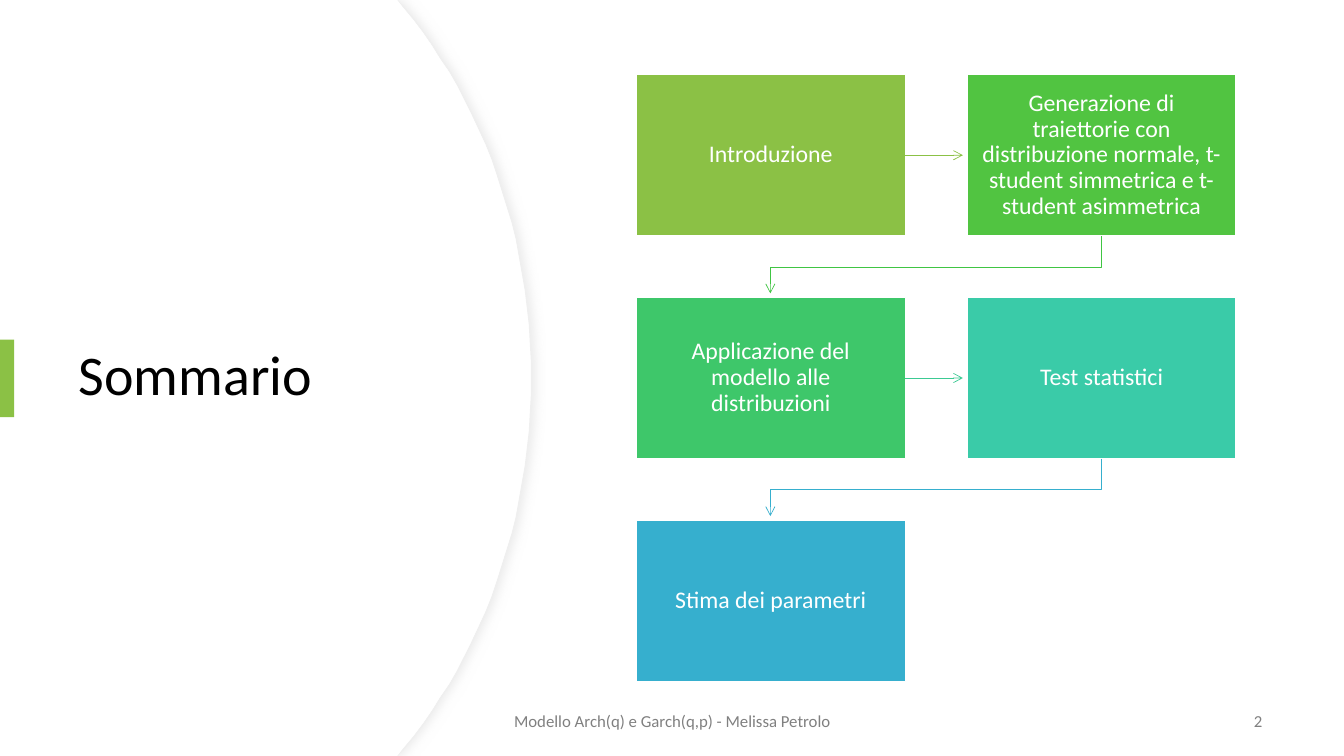
from pptx import Presentation
from pptx.dml.color import RGBColor as RGB
from pptx.enum.shapes import MSO_CONNECTOR as LINK, MSO_SHAPE as SHAPE
from pptx.enum.text import MSO_ANCHOR as ANCHOR, MSO_AUTO_SIZE as FIT, PP_ALIGN as ALIGN
from pptx.oxml import parse_xml as to_xml
from pptx.oxml.ns import nsdecls, qn
from pptx.util import Pt

PX = 9144
WIDE, HIGH = 1333, 750
FONT = "Calibri"
WHITE = RGB(0xFF, 0xFF, 0xFF)
BLACK = RGB(0, 0, 0)
GRAY = RGB(0x80, 0x80, 0x80)
EDGE = RGB(0xEF, 0xEF, 0xEF)
LIME = RGB(0x8B, 0xC1, 0x45)
GREEN = RGB(0x51, 0xC4, 0x41)
LEAF = RGB(0x40, 0xC5, 0x43)
JADE = RGB(0x3E, 0xC7, 0x6A)
MINT = RGB(0x3B, 0xCA, 0x93)
TEAL = RGB(0x3A, 0xCB, 0xA8)
BLUE = RGB(0x36, 0xAF, 0xCE)

LEFT, TOP = 631, 74
BOX_W, BOX_H = 267, 160
STEP_X, STEP_Y = 328, 221
GAP = 4
STEPS = [
    ("Introduzione", LIME, LIME),
    ("Generazione di traiettorie con distribuzione normale, "
     "t-student simmetrica e t-student asimmetrica", GREEN, LEAF),
    ("Applicazione del modello alle distribuzioni", JADE, MINT),
    ("Test statistici", TEAL, BLUE),
    ("Stima dei parametri", BLUE, None),
]


def emu(*sizes):
    """Turn px lengths into EMU."""
    return [size * PX for size in sizes]


def assign(item, values):
    """Set each named attribute of an item."""
    for name, value in values.items():
        setattr(item, name, value)


def write(shape, text, size, color, align, after=0, lead=1.0):
    """Put one formatted paragraph in a shape."""
    frame = shape.text_frame
    frame.text = text
    assign(frame, {"word_wrap": True, "auto_size": FIT.NONE,
                   "vertical_anchor": ANCHOR.MIDDLE})
    para = frame.paragraphs[0]
    assign(para, {"alignment": align, "line_spacing": lead, "space_after": Pt(after)})
    font = para.runs[0].font
    assign(font, {"name": FONT, "size": Pt(size)})
    font.color.rgb = color


def paint(shape, fill, line=None, width=1):
    """Give a shape a flat fill and an optional line."""
    shape.shadow.inherit = False
    shape.fill.solid()
    shape.fill.fore_color.rgb = fill
    if line is None:
        shape.line.fill.background()
    else:
        stroke(shape, line, width)


def stroke(shape, color, width):
    """Set the line colour and width."""
    shape.line.color.rgb = color
    shape.line.width = Pt(width)


def point(shape, color):
    """Draw a thin line with an open arrowhead at its end."""
    stroke(shape, color, 0.5)
    shape.line._get_or_add_ln().append(to_xml(f'<a:tailEnd {nsdecls("a")} type="arrow"/>'))


def outline(slide, dots, close):
    """Build a freeform through px points."""
    path = slide.shapes.build_freeform(*dots[0], scale=PX)
    path.add_line_segments(dots[1:], close=close)
    return path.convert_to_shape()


def curve(ends, count=24):
    """Return px points along a cubic curve."""
    dots = []
    for i in range(count + 1):
        t = i / count
        parts = ((1 - t) ** 3, 3 * t * (1 - t) ** 2, 3 * t * t * (1 - t), t ** 3)
        dots.append(tuple(sum(k * end[axis] for k, end in zip(parts, ends))
                          for axis in (0, 1)))
    return dots


def panel(slide, right):
    """Draw the white panel with a bulging right side."""
    mid = HIGH / 2
    upper = curve([(right - 126, 8), (right - 48, 102), (right, 232), (right, mid)])
    lower = [(x, HIGH - y) for x, y in reversed(upper[:-1])]
    dots = [(0, 0), (394, 0), *upper, *lower, (394, HIGH), (0, HIGH)]
    return outline(slide, dots, True)


def shade(shape):
    """Cast a soft gray shadow to the right."""
    cast = to_xml(
        f'<a:outerShdw {nsdecls("a")} blurRad="{Pt(7)}" dist="{Pt(3)}" dir="0" '
        'algn="l" rotWithShape="0"><a:srgbClr val="D9D9D9">'
        '<a:alpha val="50000"/></a:srgbClr></a:outerShdw>')
    shape._element.spPr.find(qn("a:effectLst")).append(cast)


def block(slide, spot, text, fill):
    """Draw one step of the flow."""
    box = slide.shapes.add_shape(SHAPE.RECTANGLE, *emu(*spot, BOX_W, BOX_H))
    paint(box, fill, WHITE)
    write(box, text, 17, WHITE, ALIGN.CENTER, 6, 0.9)
    side, edge = emu(13, 14)
    assign(box.text_frame, {"margin_left": side, "margin_right": side,
                            "margin_top": edge, "margin_bottom": edge})
    return box


def across(slide, box, spot, color):
    """Point from a box to the one on its right."""
    x, y = spot[0] + BOX_W, spot[1] + BOX_H // 2
    end = spot[0] + STEP_X - GAP
    link = slide.shapes.add_connector(LINK.STRAIGHT, *emu(x, y, end, y))
    link.begin_connect(box, 3)
    point(link, color)
    link._element.spPr.append(to_xml(f'<a:effectLst {nsdecls("a")}/>'))


def wrap(slide, spot, color):
    """Point from a box to the start of the next row."""
    x, y = spot[0] + BOX_W // 2, spot[1] + BOX_H
    turn, end = y + 31, spot[1] + STEP_Y - GAP
    dots = [(x, y), (x, turn), (x - STEP_X, turn), (x - STEP_X, end)]
    bend = outline(slide, dots, False)
    bend.shadow.inherit = False
    bend.fill.background()
    point(bend, color)


def note(slide, spot, text, align):
    """Write a small gray line at the foot."""
    box = slide.shapes.add_textbox(*emu(*spot))
    write(box, text, 12, GRAY, align, 6)


def main():
    """Build and save the slide."""
    deck = Presentation()
    deck.slide_width, deck.slide_height = emu(WIDE, HIGH)
    slide = deck.slides.add_slide(deck.slide_layouts[5])
    back = panel(slide, 527)
    paint(back, WHITE, EDGE, 0.75)
    shade(back)
    paint(panel(slide, 526), WHITE)

    title = slide.shapes.title
    slide.shapes._spTree.append(title._element)
    assign(title, dict(zip(("left", "top", "width", "height"), emu(68, 127, 394, 495))))
    write(title, "Sommario", 40, BLACK, ALIGN.LEFT, lead=0.9)
    mark = slide.shapes.add_shape(SHAPE.RECTANGLE, *emu(0, 337, 14, 77))
    paint(mark, LIME)
    note(slide, (442, 695, 450, 40), "Modello Arch(q) e Garch(q,p) - Melissa Petrolo",
         ALIGN.CENTER)
    note(slide, (962, 695, 300, 40), "2", ALIGN.RIGHT)

    for i, (text, fill, color) in enumerate(STEPS):
        row, col = divmod(i, 2)
        spot = LEFT + col * STEP_X, TOP + row * STEP_Y
        box = block(slide, spot, text, fill)
        if color and col:
            wrap(slide, spot, color)
        elif color:
            across(slide, box, spot, color)
    deck.save("out.pptx")


if __name__ == "__main__":
    main()
